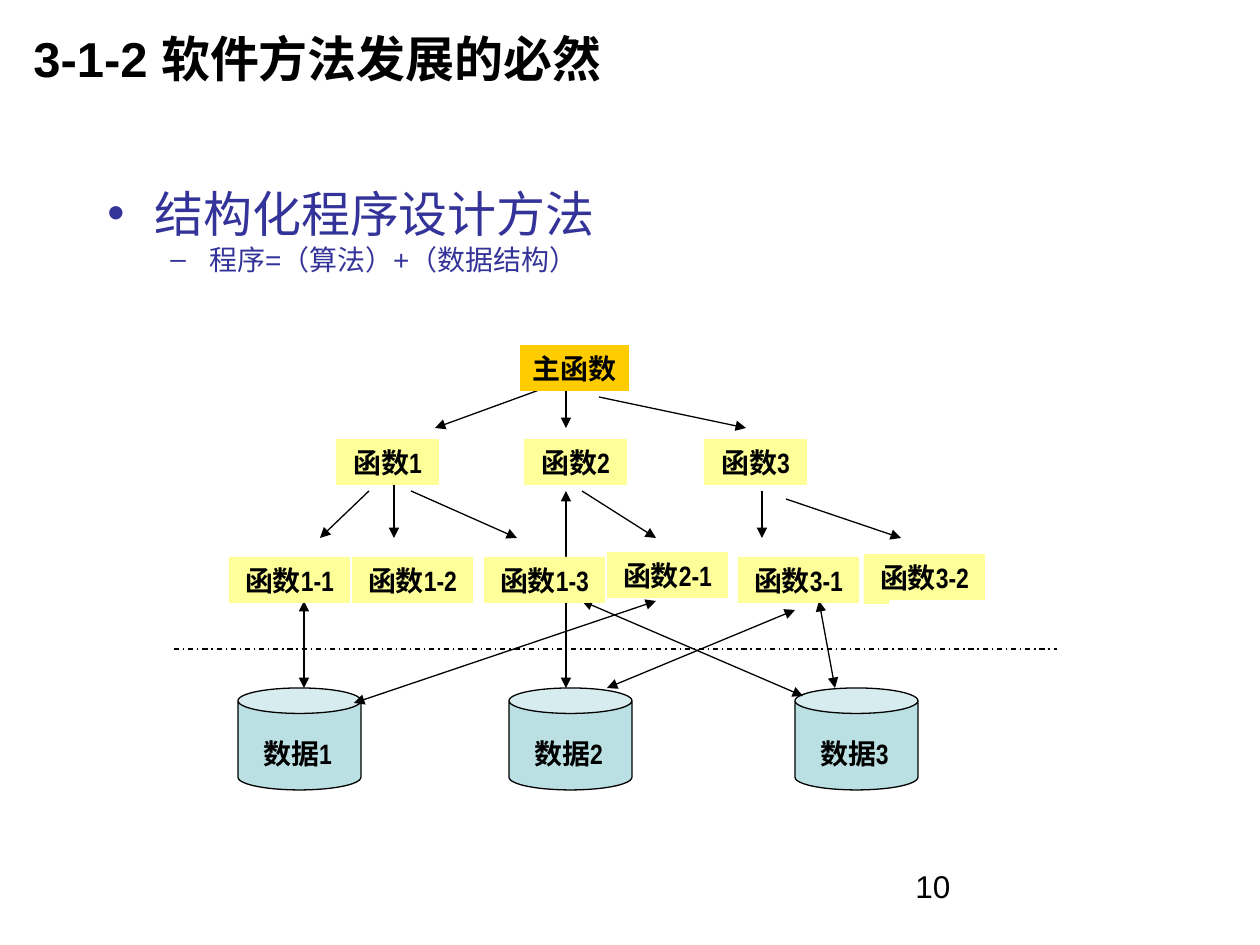
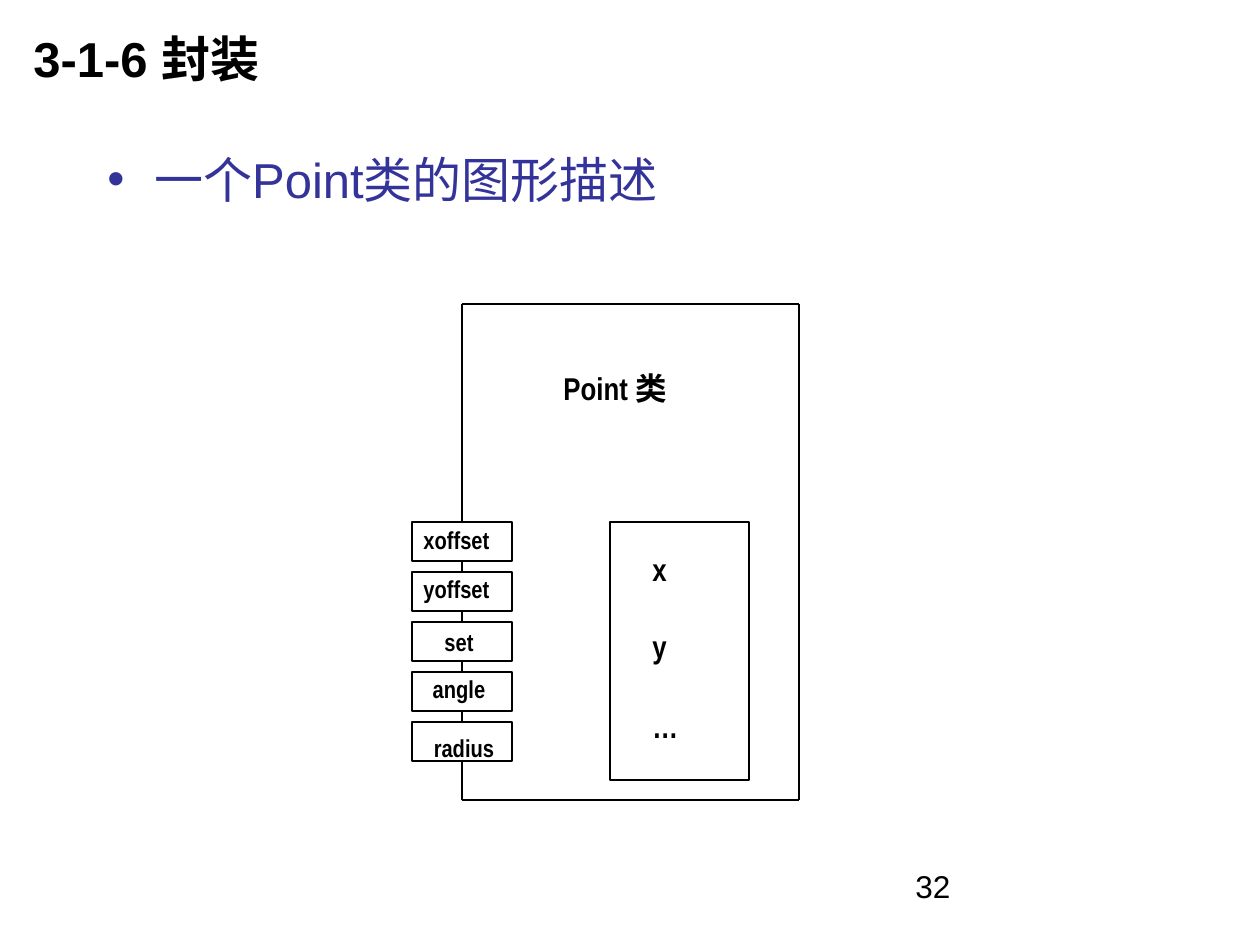
from lxml.etree import SubElement
from pptx import Presentation
from pptx.dml.color import RGBColor
from pptx.enum.dml import MSO_LINE
from pptx.enum.shapes import MSO_CONNECTOR, MSO_SHAPE
from pptx.enum.text import MSO_ANCHOR, MSO_AUTO_SIZE, PP_ALIGN
from pptx.oxml.ns import qn
from pptx.util import Emu, Pt

BLACK = RGBColor(0x00, 0x00, 0x00)
NAVY = RGBColor(0x33, 0x33, 0x99)
GOLD = RGBColor(0xFF, 0xCC, 0x00)
CREAM = RGBColor(0xFF, 0xFF, 0x99)
TEAL = RGBColor(0xBB, 0xE0, 0xE3)

SANS, NARROW = "Arial", "Arial Narrow"
UNIT = 914400 / 126
WIDE, HIGH = 1260, 945

# Bullet levels: sign, left margin px, hanging px, points, space before
LEVELS = [("•", 47, 47, 28, 7), ("–", 102, 39, 16, 4)]

# Slide with the call tree
TREE = {
    "title": "3-1-2 软件方法发展的必然", "page": "10", "top": 189,
    "points": [("结构化程序设计方法", 0), ("程序=（算法）+（数据结构）", 1)],
}
ROOT = ("主函数", 520, 345, 109)
CALLS = [  # text, left, top, width
    ("函数1", 336, 439, 103), ("函数2", 524, 439, 103), ("函数3", 704, 439, 103),
    ("函数1-1", 229, 557, 121), ("函数1-2", 352, 557, 121),
    ("函数1-3", 484, 557, 121), ("函数2-1", 607, 552, 121),
    ("函数3-1", 738, 557, 121), ("函数3-2", 864, 554, 121),
]
PATCH = (864, 558, 25, 46)
STORES = [("数据1", 238), ("数据2", 509), ("数据3", 795)]
DIVIDE = (174, 649, 1057, 649)
DOWN = [  # calls, one arrowhead
    (542, 389, 435, 428), (566, 389, 566, 428), (599, 397, 746, 428),
    (369, 491, 320, 538), (394, 484, 394, 538), (411, 491, 517, 538),
    (582, 491, 656, 538), (762, 491, 762, 538), (786, 499, 901, 538),
]
BOTH = [  # data access, two arrowheads
    (304, 601, 304, 688), (656, 601, 354, 703), (566, 491, 566, 688),
    (795, 610, 607, 688), (819, 601, 835, 688), (582, 601, 803, 696),
]

# Slide with the class drawing
CLASS = {
    "title": "3-1-6 封装", "page": "32", "top": 155,
    "points": [("一个Point类的图形描述", 0)],
}
METHODS = [  # text, left, top, width
    ("xoffset", 411, 519, 91), ("yoffset", 411, 568, 91), ("set", 432, 621, 54),
    ("angle", 420, 668, 78), ("radius", 421, 727, 86),
]
SLOT = (412, 522, 100, 39)
PITCH = 50
FIELDS = (610, 522, 139, 258)
NAMES = [
    ("Point 类", 547, 363, 136), ("x", 640, 544, 39),
    ("y", 640, 621, 39), ("…", 640, 701, 50),
]
FRAME = (462, 304, 799, 800)  # left, top, right, bottom


def px(*vals):
    return [Emu(round(v * UNIT)) for v in vals]


def add_run(para, text, size, color=BLACK, font=SANS, bold=False):
    run = para.add_run()
    run.text = text
    run.font.size, run.font.name, run.font.bold = Pt(size), font, bold
    run.font.color.rgb = color


def add_block(slide, kind, box, fill=None, edge=True):
    shape = slide.shapes.add_shape(kind, *px(*box))
    shape.shadow.inherit = False
    if fill is None:
        shape.fill.background()
    else:
        shape.fill.solid()
        shape.fill.fore_color.rgb = fill
    if edge:
        shape.line.color.rgb = BLACK
        shape.line.width = Pt(0.75)
    else:
        shape.line.fill.background()
    return shape


def add_label(slide, text, left, top, width, size=16, fill=None):
    """Bold narrow text in a box that hugs it."""
    high = {14: 43, 16: 46, 18: 50}[size]
    box = slide.shapes.add_textbox(*px(left, top, width, high))
    if fill is not None:
        box.fill.solid()
        box.fill.fore_color.rgb = fill
    frame = box.text_frame
    frame.word_wrap = False
    frame.auto_size = MSO_AUTO_SIZE.SHAPE_TO_FIT_TEXT
    para = frame.paragraphs[0]
    para.alignment = PP_ALIGN.CENTER
    add_run(para, text, size, font=NARROW, bold=True)


def add_line(slide, ends, heads=(), dash=None):
    line = slide.shapes.add_connector(MSO_CONNECTOR.STRAIGHT, *px(*ends))
    line.line.color.rgb = BLACK
    line.line.width = Pt(0.75)
    if dash is not None:
        line.line.dash_style = dash
    for head in heads:
        SubElement(line.line._get_or_add_ln(), qn(f"a:{head}"), type="triangle")
    SubElement(line._element.spPr, qn("a:effectLst"))
    return line


def add_text(slide, box):
    frame = slide.shapes.add_textbox(*px(*box)).text_frame
    frame.word_wrap = True
    return frame


def add_point(para, text, level):
    sign, left, hang, size, before = LEVELS[level]
    para.level = level
    para.line_spacing = 0.8
    para.space_before = Pt(before)
    props = para._p.get_or_add_pPr()
    props.set("marL", str(px(left)[0]))
    props.set("indent", str(px(-hang)[0]))
    tint = SubElement(props, qn("a:buClr"))
    SubElement(tint, qn("a:srgbClr"), val=str(NAVY))
    SubElement(props, qn("a:buFont"), typeface=SANS)
    SubElement(props, qn("a:buChar"), char=sign)
    add_run(para, text, size, NAVY)


def add_page(deck, data):
    """Blank slide with title, bullet points and page number."""
    slide = deck.slides.add_slide(deck.slide_layouts[6])
    title = add_text(slide, (21, 0, 945, 116))
    title.vertical_anchor = MSO_ANCHOR.MIDDLE
    add_run(title.paragraphs[0], data["title"], 28, bold=True)
    body = add_text(slide, (95, data["top"], 1071, 651))
    for i, (text, level) in enumerate(data["points"]):
        para = body.add_paragraph() if i else body.paragraphs[0]
        add_point(para, text, level)
    page = add_text(slide, (903, 861, 294, 66))
    add_run(page.paragraphs[0], data["page"], 18)
    return slide


def draw_tree(deck):
    slide = add_page(deck, TREE)
    for _, left in STORES:
        add_block(slide, MSO_SHAPE.CAN, (left, 688, 123, 102), TEAL)
    add_line(slide, DIVIDE, dash=MSO_LINE.DASH_DOT)
    for ends in DOWN:
        add_line(slide, ends, ["tailEnd"])
    for ends in BOTH:
        add_line(slide, ends, ["headEnd", "tailEnd"])
    add_block(slide, MSO_SHAPE.RECTANGLE, PATCH, CREAM, edge=False)
    add_label(slide, *ROOT, fill=GOLD)
    for call in CALLS:
        add_label(slide, *call, fill=CREAM)
    for text, left in STORES:
        add_label(slide, text, left + 8, 730, 103)


def draw_class(deck):
    slide = add_page(deck, CLASS)
    add_block(slide, MSO_SHAPE.RECTANGLE, FIELDS)
    left, top, width, high = SLOT
    slots = [
        add_block(slide, MSO_SHAPE.RECTANGLE, (left, top + i * PITCH, width, high))
        for i in range(len(METHODS))
    ]
    x1, y1, x2, y2 = FRAME
    add_line(slide, (x1, top, x1, y1)).begin_connect(slots[0], 0)
    for ends in [(x1, y1, x2, y1), (x2, y1, x2, y2), (x2, y2, x1, y2)]:
        add_line(slide, ends)
    add_line(slide, (x1, y2, x1, y2 - 40)).end_connect(slots[-1], 2)
    for upper, lower in zip(slots, slots[1:]):
        link = add_line(slide, (x1, top, x1, y2))
        link.begin_connect(lower, 0)
        link.end_connect(upper, 2)
    for method in METHODS:
        add_label(slide, *method, size=14)
    for name in NAMES:
        add_label(slide, *name, size=18)


def main():
    deck = Presentation()
    deck.slide_width, deck.slide_height = px(WIDE, HIGH)
    draw_tree(deck)
    draw_class(deck)
    deck.save("out.pptx")


if __name__ == "__main__":
    main()
